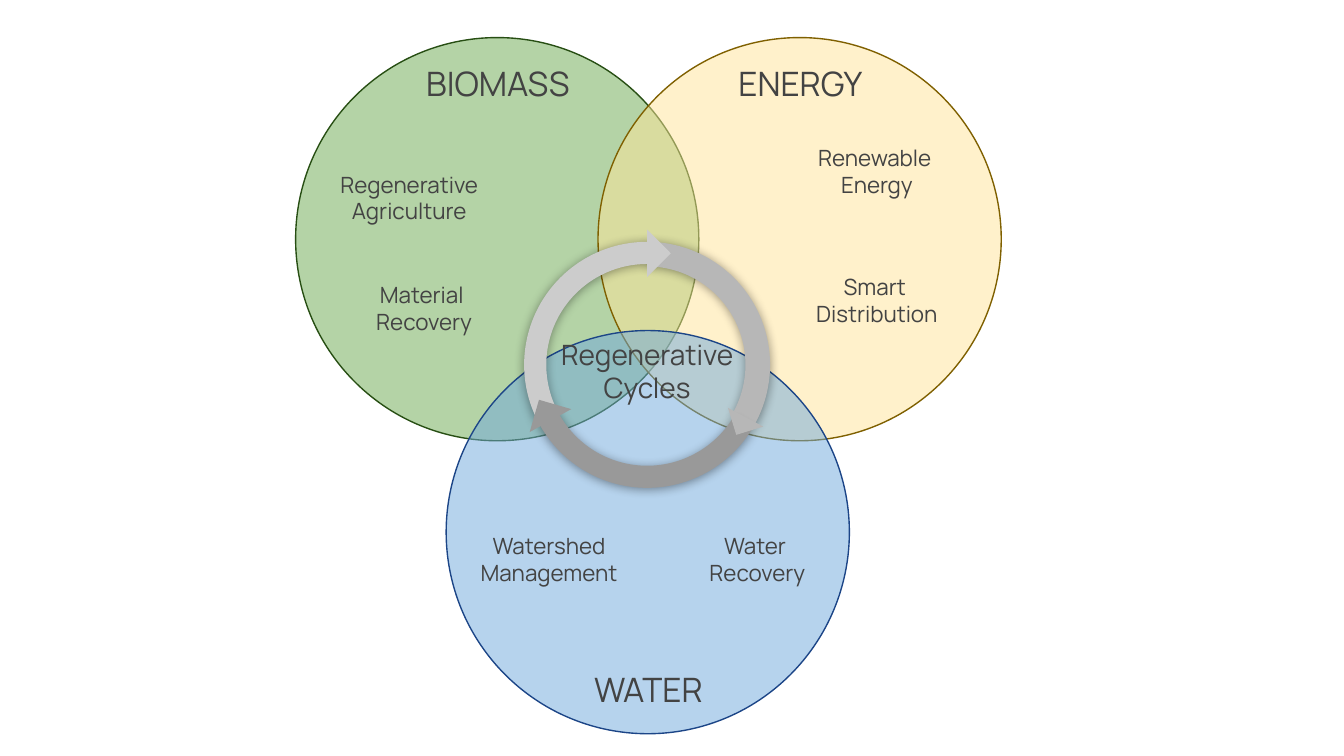
from math import cos, radians, sin

from lxml import etree
from pptx import Presentation
from pptx.dml.color import RGBColor
from pptx.enum.shapes import MSO_SHAPE as Preset
from pptx.enum.text import MSO_ANCHOR as Anchor, PP_ALIGN as Align
from pptx.oxml.ns import qn
from pptx.util import Inches, Pt

TEXT = RGBColor(0x43, 0x43, 0x43)
GREEN = RGBColor(0x6A, 0xA8, 0x4F)
DARK_GREEN = RGBColor(0x27, 0x4E, 0x13)
YELLOW = RGBColor(0xFF, 0xE5, 0x99)
DARK_YELLOW = RGBColor(0x7F, 0x60, 0x00)
BLUE = RGBColor(0x6F, 0xA8, 0xDC)
DARK_BLUE = RGBColor(0x1C, 0x45, 0x87)
LIGHT_GRAY = RGBColor(0xCC, 0xCC, 0xCC)
MID_GRAY = RGBColor(0xB7, 0xB7, 0xB7)
DARK_GRAY = RGBColor(0x99, 0x99, 0x99)
BLACK = RGBColor(0, 0, 0)

FONT = "Manrope"
SLIDE_WIDTH = Inches(10)
SLIDE_HEIGHT = SLIDE_WIDTH * 9 // 16
CIRCLE_SIZE = 3
LABEL_WIDTH, LABEL_HEIGHT = 1.85, 0.36
RING_LEFT, RING_TOP, RING_SIZE = 3.9, 1.8, 1.83
HEAD_RADIUS = 0.83

CIRCLES = [
    (2.2, 0.28, GREEN, DARK_GREEN),
    (4.45, 0.28, YELLOW, DARK_YELLOW),
    (3.32, 2.46, BLUE, DARK_BLUE),
]
LABELS = [
    (["WATER"], 3.9, 4.95, LABEL_WIDTH, 18),
    (["ENERGY"], 5.03, 0.44, LABEL_WIDTH, 18),
    (["BIOMASS"], 2.78, 0.44, LABEL_WIDTH, 18),
    (["Watershed Management"], 3.16, 3.98, LABEL_WIDTH, 12),
    (["Water ", "Recovery"], 4.71, 3.98, LABEL_WIDTH, 12),
    (["Renewable ", "Energy"], 5.6, 1.09, LABEL_WIDTH, 12),
    (["Smart ", "Distribution"], 5.62, 2.05, 1.81, 12),
    (["Regenerative Agriculture"], 2.12, 1.29, LABEL_WIDTH, 12),
    (["Material ", "Recovery"], 2.23, 2.11, LABEL_WIDTH, 12),
    (["Regenerative Cycles"], 3.89, 2.58, LABEL_WIDTH, 15),
]
ARC = "arc"
HEAD = "head"
CYCLE = [
    (ARC, MID_GRAY, 30, False, (144.14, 0.01, 0.1)),
    (ARC, LIGHT_GRAY, 330, True, (143.49, 214.73, 0.09)),
    (HEAD, LIGHT_GRAY, 225.1, 270, 0.25),
    (ARC, DARK_GRAY, 210, True, (143.16, 215.03, 0.09)),
    (HEAD, MID_GRAY, 342.9, 28, 0.21),
    (HEAD, DARK_GRAY, 106.1, 150, 0.25),
]


def set_alpha(color_element, percent):
    etree.SubElement(color_element, qn("a:alpha")).set("val", str(percent * 1000))


def add_filled(shapes, preset, left, top, size, color):
    shape = shapes.add_shape(preset, Inches(left), Inches(top), Inches(size), Inches(size))
    shape.shadow.inherit = False
    shape.fill.solid()
    shape.fill.fore_color.rgb = color
    shape.line.fill.background()
    return shape


def add_circle(shapes, left, top, color, outline):
    circle = add_filled(shapes, Preset.OVAL, left, top, CIRCLE_SIZE, color)
    set_alpha(circle._element.spPr.find(".//" + qn("a:srgbClr")), 50)
    circle.line.color.rgb = outline
    circle.line.width = Pt(0.75)


def add_label(shapes, lines, left, top, width, size):
    box = shapes.add_textbox(Inches(left), Inches(top), Inches(width), Inches(LABEL_HEIGHT))
    frame = box.text_frame
    frame.text = "\n".join(lines)
    frame.word_wrap = True
    frame.vertical_anchor = Anchor.MIDDLE
    frame.margin_left = frame.margin_right = Inches(0.1)
    frame.margin_top = frame.margin_bottom = Inches(0.1)
    for paragraph in frame.paragraphs:
        paragraph.alignment = Align.CENTER
        for run in paragraph.runs:
            run.font.name = FONT
            run.font.size = Pt(size)
            run.font.color.rgb = TEXT


def add_shadow(shape):
    effects = shape._element.spPr.find(qn("a:effectLst"))
    shadow = etree.SubElement(effects, qn("a:outerShdw"))
    settings = {"blurRad": Pt(5.6), "dist": Pt(0.8), "dir": 90 * 60000, "rotWithShape": 0}
    for name, value in settings.items():
        shadow.set(name, str(int(value)))
    color = etree.SubElement(shadow, qn("a:srgbClr"))
    color.set("val", str(BLACK))
    set_alpha(color, 40)


def add_arc(shapes, color, rotation, flipped, adjustments):
    arc = add_filled(shapes, Preset.BLOCK_ARC, RING_LEFT, RING_TOP, RING_SIZE, color)
    for index, value in enumerate(adjustments):
        arc.adjustments[index] = value
    arc.rotation = rotation
    if flipped:
        arc._element.spPr.find(qn("a:xfrm")).set("flipH", "1")
    add_shadow(arc)


def add_head(shapes, color, rotation, angle, size):
    offset = (RING_SIZE - size) / 2
    left = RING_LEFT + offset + HEAD_RADIUS * cos(radians(angle))
    top = RING_TOP + offset + HEAD_RADIUS * sin(radians(angle))
    head = add_filled(shapes, Preset.RIGHT_TRIANGLE, left, top, size, color)
    head.rotation = rotation


def main():
    presentation = Presentation()
    presentation.slide_width = SLIDE_WIDTH
    presentation.slide_height = SLIDE_HEIGHT
    slide = presentation.slides.add_slide(presentation.slide_layouts[6])
    for circle in CIRCLES:
        add_circle(slide.shapes, *circle)
    for label in LABELS:
        add_label(slide.shapes, *label)
    cycle = slide.shapes.add_group_shape()
    builders = {ARC: add_arc, HEAD: add_head}
    for kind, *settings in CYCLE:
        builders[kind](cycle.shapes, *settings)
    presentation.save("out.pptx")


if __name__ == "__main__":
    main()
